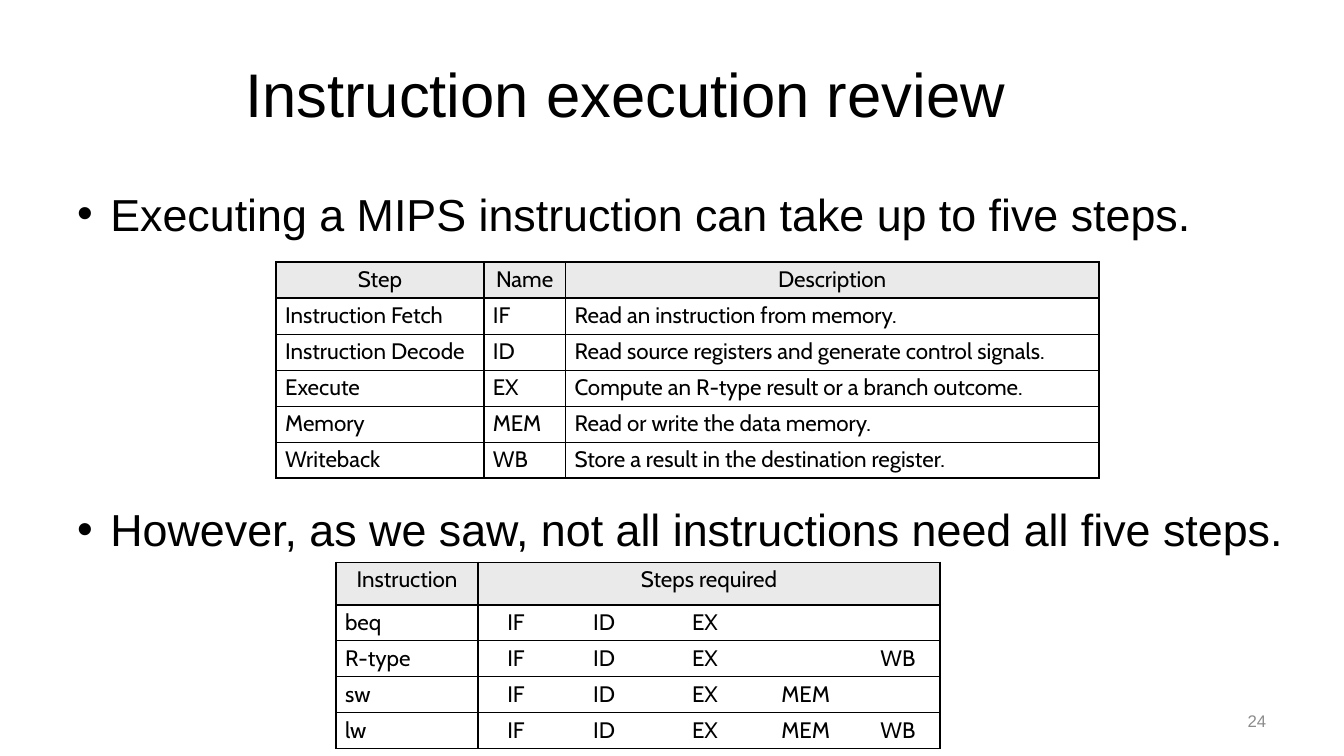
from dataclasses import dataclass

from pptx import Presentation
from pptx.dml.color import RGBColor
from pptx.enum.text import MSO_ANCHOR, PP_ALIGN
from pptx.oxml import parse_xml
from pptx.oxml.ns import nsdecls
from pptx.util import Emu, Inches, Pt

BLACK = RGBColor(0x00, 0x00, 0x00)
WHITE = RGBColor(0xFF, 0xFF, 0xFF)
GRAY = RGBColor(0x8C, 0x8C, 0x8C)
HEADER_GRAY = RGBColor(0xEA, 0xEA, 0xEA)

SLIDE_WIDTH, SLIDE_HEIGHT = Inches(13.333), Inches(7.5)
ROW_HEIGHT = 4.76
THICK, THIN = 1.5, 0.5


@dataclass(frozen=True)
class Area:
    """A rectangle in percent of the slide's width and height."""
    left: float
    top: float
    width: float
    height: float


@dataclass(frozen=True)
class TableDesign:
    left: float
    top: float
    header_height: float
    column_widths: list[float]
    ruled_edges: set[int]       # column edges that carry a vertical line
    centered_from: int          # first column with centred body text
    rows: list[list[str]]


TITLE_AREA = Area(5, 4, 83.1, 16.67)
BODY_AREA = Area(5, 23.33, 94.35, 66)
NUMBER_AREA = Area(71.62, 92.67, 23.33, 5.33)

BULLETS = [
    "Executing a MIPS instruction can take up to five steps.",
    "However, as we saw, not all instructions need all five steps.",
]

STEPS_TABLE = TableDesign(
    20.55, 34.67, ROW_HEIGHT, [15.45, 6.08, 39.68], {0, 1, 2, 3}, 3,
    [
        ["Step", "Name", "Description"],
        ["Instruction Fetch", "IF", "Read an instruction from memory."],
        ["Instruction Decode", "ID", "Read source registers and generate control signals."],
        ["Execute", "EX", "Compute an R-type result or a branch outcome."],
        ["Memory", "MEM", "Read or write the data memory."],
        ["Writeback", "WB", "Store a result in the destination register."],
    ],
)
INSTRUCTIONS_TABLE = TableDesign(
    25, 74.4, 5.6, [10.58, 5.63, 7.5, 7.5, 7.5, 6.23], {0, 1, 6}, 1,
    [
        ["Instruction", "Steps required", "", "", "", ""],
        ["beq", "IF", "ID", "EX", "", ""],
        ["R-type", "IF", "ID", "EX", "", "WB"],
        ["sw", "IF", "ID", "EX", "MEM", ""],
        ["lw", "IF", "ID", "EX", "MEM", "WB"],
    ],
)


def across(percent: float) -> Emu:
    return Emu(round(SLIDE_WIDTH * percent / 100))


def down(percent: float) -> Emu:
    return Emu(round(SLIDE_HEIGHT * percent / 100))


def frame(area: Area) -> tuple[Emu, Emu, Emu, Emu]:
    return across(area.left), down(area.top), across(area.width), down(area.height)


def format_paragraph(paragraph, font_name: str, size: float, color: RGBColor,
                     alignment=PP_ALIGN.LEFT) -> None:
    paragraph.alignment = alignment
    paragraph.font.name = font_name
    paragraph.font.size = Pt(size)
    paragraph.font.color.rgb = color


def add_title(slide, text: str) -> None:
    title = slide.shapes.title
    title.left, title.top, title.width, title.height = frame(TITLE_AREA)
    title.text_frame.text = text
    title.text_frame.vertical_anchor = MSO_ANCHOR.MIDDLE
    format_paragraph(title.text_frame.paragraphs[0], "Arial", 44, BLACK, PP_ALIGN.CENTER)


def add_bullets(slide) -> None:
    text_frame = slide.shapes.add_textbox(*frame(BODY_AREA)).text_frame
    text_frame.word_wrap = True
    text_frame.margin_top = Inches(0.1)
    text_frame.text = "\n".join(BULLETS)
    for paragraph in text_frame.paragraphs:
        properties = paragraph._p.get_or_add_pPr()
        properties.set("marL", str(Inches(0.33)))
        properties.set("indent", str(-Inches(0.33)))
        properties.append(parse_xml(f'<a:buFont {nsdecls("a")} typeface="Arial"/>'))
        properties.append(parse_xml(f'<a:buChar {nsdecls("a")} char="•"/>'))
        format_paragraph(paragraph, "Arial", 32, BLACK)
    # Room for the steps table between the two bullets
    text_frame.paragraphs[1].space_before = Pt(187)


def add_slide_number(slide, number: str) -> None:
    text_frame = slide.shapes.add_textbox(*frame(NUMBER_AREA)).text_frame
    text_frame.word_wrap = True
    text_frame.vertical_anchor = MSO_ANCHOR.MIDDLE
    text_frame.text = number
    format_paragraph(text_frame.paragraphs[0], "Arial", 12, GRAY, PP_ALIGN.RIGHT)


def add_border(cell, side: str, width: float) -> None:
    paint = f'<a:solidFill><a:srgbClr val="{BLACK}"/></a:solidFill>' if width else "<a:noFill/>"
    cell._tc.get_or_add_tcPr().append(parse_xml(
        f'<a:ln{side} {nsdecls("a")} w="{Pt(width)}">{paint}</a:ln{side}>'))


def add_table(slide, design: TableDesign) -> None:
    row_count, column_count = len(design.rows), len(design.column_widths)
    heights = [design.header_height] + [ROW_HEIGHT] * (row_count - 1)
    area = Area(design.left, design.top, sum(design.column_widths), sum(heights))
    table = slide.shapes.add_table(row_count, column_count, *frame(area)).table
    table.first_row = table.horz_banding = False
    for column, width in zip(table.columns, design.column_widths):
        column.width = across(width)
    for row, height in zip(table.rows, heights):
        row.height = down(height)

    # A header label followed by blanks spans the remaining columns
    last_label = max(index for index, label in enumerate(design.rows[0]) if label)
    if last_label < column_count - 1:
        table.cell(0, last_label).merge(table.cell(0, column_count - 1))

    def row_edge(edge: int) -> float:
        return THICK if edge in (0, 1, row_count) else THIN

    def column_edge(edge: int) -> float:
        return THICK if edge in design.ruled_edges else 0

    for row_index, texts in enumerate(design.rows):
        for column_index, text in enumerate(texts):
            cell = table.cell(row_index, column_index)
            span = cell.span_width if cell.is_merge_origin else 1
            cell.margin_left = cell.margin_right = Inches(0.09)
            cell.margin_top = cell.margin_bottom = Inches(0.04)
            add_border(cell, "L", column_edge(column_index))
            add_border(cell, "R", column_edge(column_index + span))
            add_border(cell, "T", row_edge(row_index))
            add_border(cell, "B", row_edge(row_index + 1))
            cell.fill.solid()
            cell.fill.fore_color.rgb = HEADER_GRAY if row_index == 0 else WHITE
            if text:
                cell.text = text
            centered = row_index == 0 or column_index >= design.centered_from
            format_paragraph(cell.text_frame.paragraphs[0], "Cabin", 16, BLACK,
                             PP_ALIGN.CENTER if centered else PP_ALIGN.LEFT)


def main() -> None:
    presentation = Presentation()
    presentation.slide_width, presentation.slide_height = SLIDE_WIDTH, SLIDE_HEIGHT
    slide = presentation.slides.add_slide(presentation.slide_layouts[5])

    # Heading and bullets
    add_slide_number(slide, "24")
    add_title(slide, "Instruction execution review")
    add_bullets(slide)

    # Tables
    for design in (STEPS_TABLE, INSTRUCTIONS_TABLE):
        add_table(slide, design)

    presentation.save("out.pptx")


if __name__ == "__main__":
    main()
